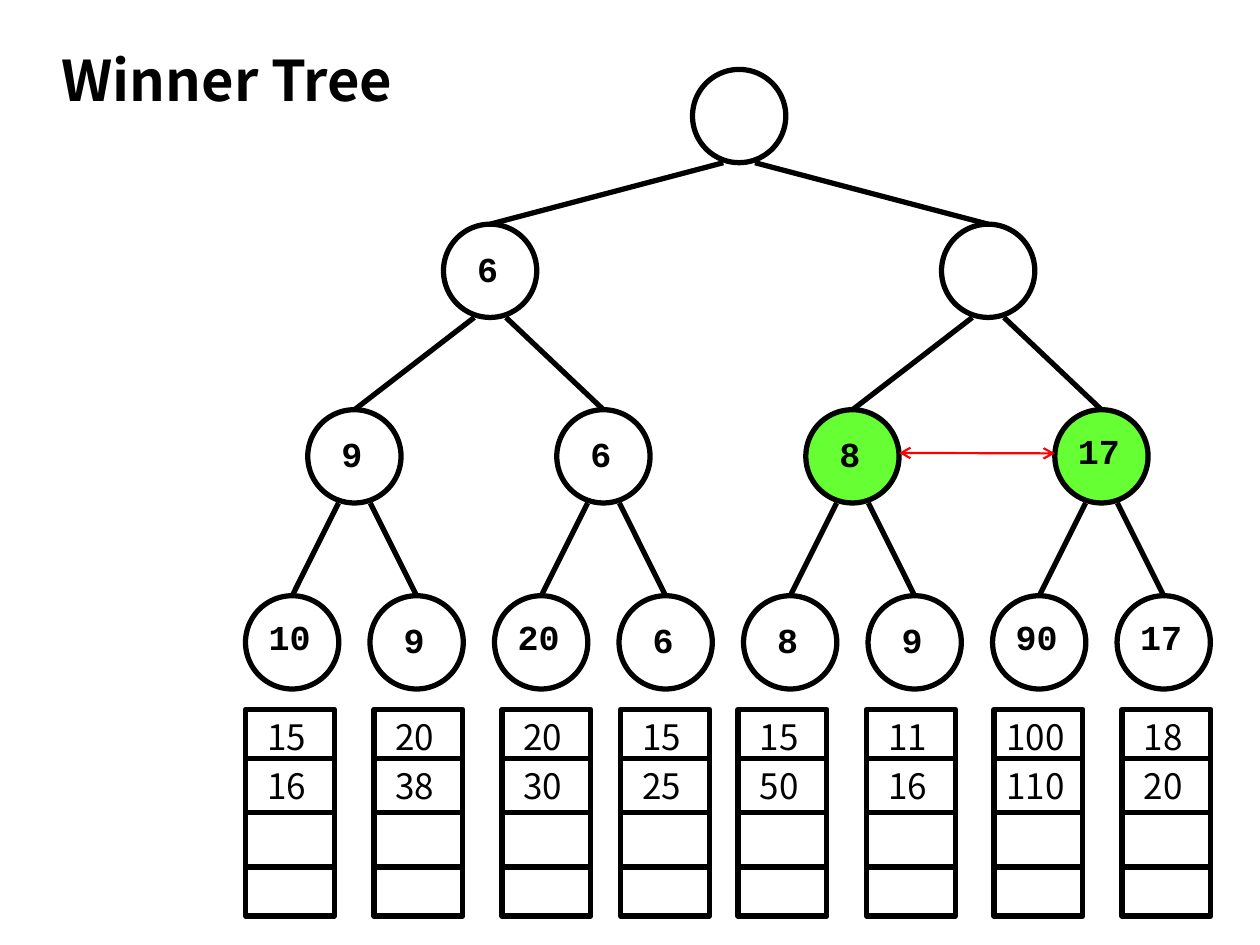
from lxml.etree import SubElement
from pptx import Presentation
from pptx.dml.color import RGBColor
from pptx.enum.shapes import MSO_CONNECTOR, MSO_SHAPE
from pptx.enum.text import MSO_AUTO_SIZE, PP_ALIGN
from pptx.oxml.ns import qn
from pptx.util import Cm, Pt


def add_text(shapes, text, x, y, w, h=1.12, size=20, font="Noto Sans CJK KR",
             bold=False, align=PP_ALIGN.LEFT, color="000000"):
    tf = shapes.add_textbox(Cm(x), Cm(y), Cm(w), Cm(h)).text_frame
    tf.word_wrap = True
    tf.auto_size = MSO_AUTO_SIZE.SHAPE_TO_FIT_TEXT
    p = tf.paragraphs[0]
    p.alignment = align
    r = p.add_run()
    r.text = text
    r.font.size = Pt(size)
    r.font.name = font
    r.font.bold = bold
    r.font.color.rgb = RGBColor.from_string(color)


def add_line(shapes, x1, y1, x2, y2, color="000000", width=3):
    line = shapes.add_connector(MSO_CONNECTOR.STRAIGHT, Cm(x1), Cm(y1), Cm(x2), Cm(y2))
    line.line.color.rgb = RGBColor.from_string(color)
    line.line.width = Pt(width)
    SubElement(line._element.spPr, qn("a:effectLst"))
    return line


prs = Presentation()
prs.slide_width, prs.slide_height = Cm(25.4), Cm(19.05)
s = prs.slides.add_slide(prs.slide_layouts[6])

diameter = 1.88
leaf_x, pitch = 5.89, 2.51
levels = [
    (1.4, 3.59, 8, [""]),
    (4.52, 1.59, 4, ["6", ""]),
    (8.26, 0.5, 2, ["9", "6", "8", "17"]),
    (12.01, 0, 1, ["10", "9", "20", "6", "8", "9", "90", "17"]),
]
winners = [(2, 2), (2, 3)]

centers = []
for depth, (top, first, step, labels) in enumerate(levels):
    centers.append([leaf_x + pitch * (first + step * i) for i in range(len(labels))])
    for i, (x, label) in enumerate(zip(centers[depth], labels)):
        group = s.shapes.add_group_shape().shapes
        sp = group.add_shape(MSO_SHAPE.OVAL, Cm(x - diameter / 2), Cm(top),
                             Cm(diameter), Cm(diameter))
        sp.shadow.inherit = False
        sp.line.color.rgb = RGBColor.from_string("000000")
        sp.line.width = Pt(3)
        if (depth, i) in winners:
            sp.fill.solid()
            sp.fill.fore_color.rgb = RGBColor.from_string("66FF33")
        else:
            sp.fill.background()
        if label:
            w, drop = (1.35, 0.34) if len(label) == 1 else (1.78, 0.28)
            add_text(group, label, x - 0.05 - w / 2, top + drop, w,
                     font="Courier New", bold=True, align=PP_ALIGN.CENTER)

for depth in range(1, len(levels)):
    parent_bottom = levels[depth - 1][0] + diameter
    for i, x in enumerate(centers[depth]):
        side = 0.32 if i % 2 else -0.32
        add_line(s.shapes, x, levels[depth][0], centers[depth - 1][i // 2] + side, parent_bottom)

runs = [
    (4.95, ["15", "16"]),
    (7.54, ["20", "38"]),
    (10.12, ["20", "30"]),
    (12.51, ["15", "25"]),
    (14.88, ["15", "50"]),
    (17.47, ["11", "16"]),
    (20.04, ["100", "110"]),
    (22.62, ["18", "20"]),
]
run_w, run_top, run_h = 1.79, 14.3, 4.17
dividers = [15.29, 16.38, 17.48]
for x, values in runs:
    group = s.shapes.add_group_shape().shapes
    sp = group.add_shape(MSO_SHAPE.RECTANGLE, Cm(x), Cm(run_top), Cm(run_w), Cm(run_h))
    sp.shadow.inherit = False
    sp.fill.background()
    sp.line.color.rgb = RGBColor.from_string("000000")
    sp.line.width = Pt(3)
    for y in dividers:
        add_line(group, x, y, x + run_w, y)
    for value, y in zip(values, [run_top, dividers[0]]):
        w = 1.42 if len(value) == 2 else 1.8
        add_text(group, value, x + (run_w - w) / 2, y, w)

add_text(s.shapes, "Winner Tree", 0.99, 0.79, 8.53, h=1.63, size=32, bold=True)

left, right = centers[2][2:]
arrow = add_line(s.shapes, left + diameter / 2, 9.13, right - diameter / 2, 9.14, "FF0000", 1.25)
ln = arrow.line._get_or_add_ln()
for end in ("a:headEnd", "a:tailEnd"):
    SubElement(ln, qn(end), type="arrow")

prs.save("out.pptx")
